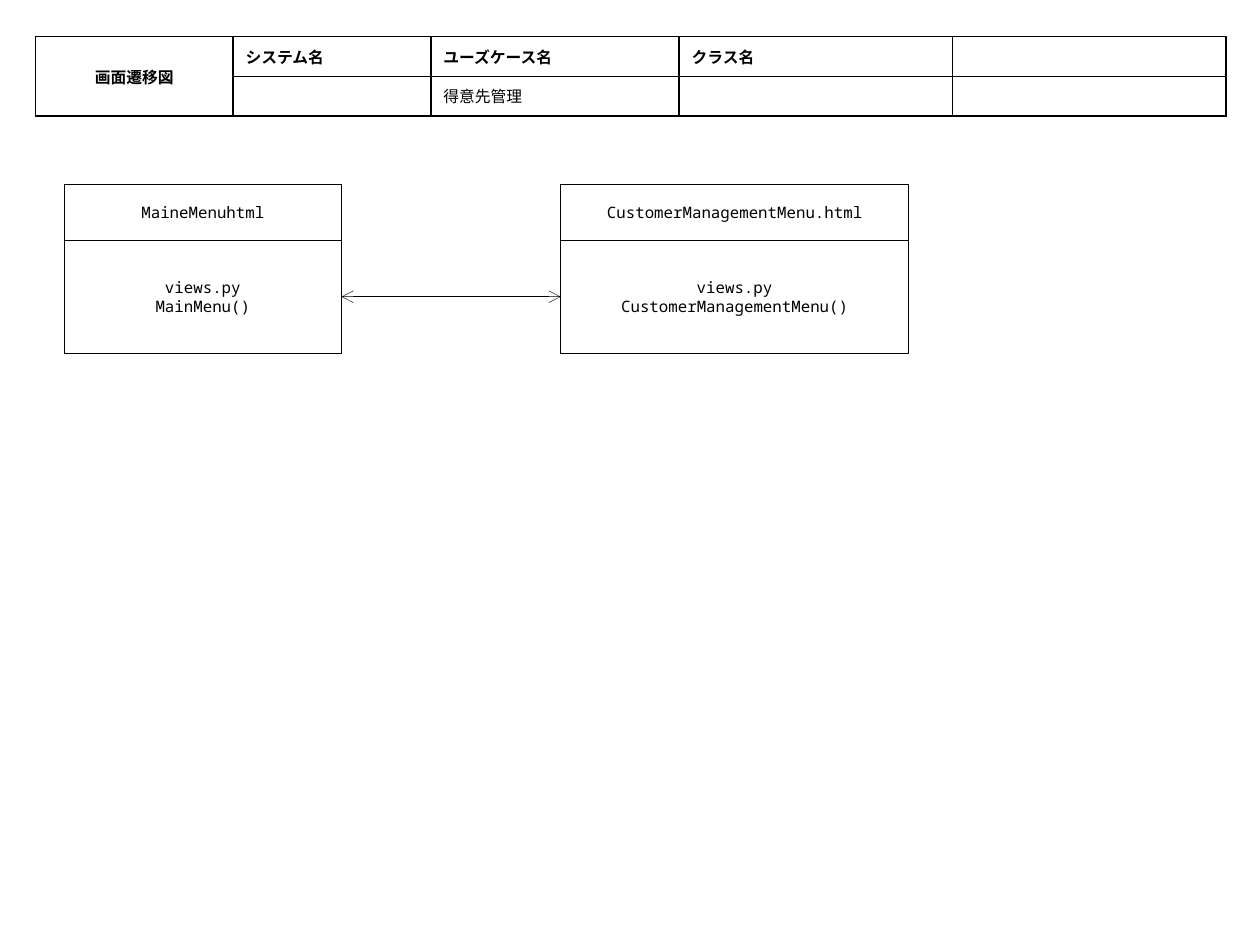
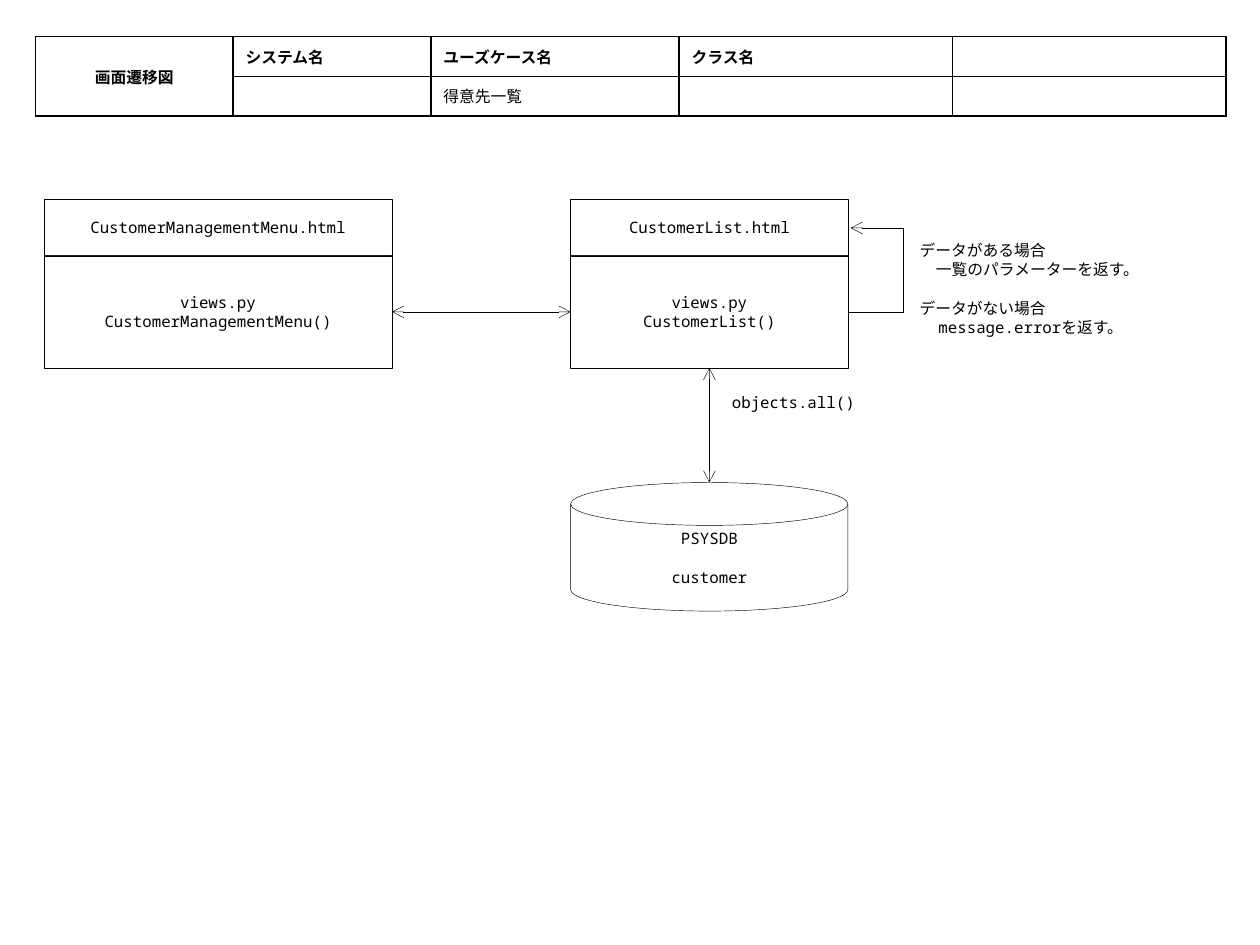
from lxml import etree
from pptx import Presentation
from pptx.dml.color import RGBColor
from pptx.enum.shapes import MSO_CONNECTOR, MSO_SHAPE
from pptx.enum.text import MSO_ANCHOR, PP_ALIGN
from pptx.oxml.ns import qn
from pptx.util import Inches, Pt

COLORS = {"ink": "000000", "paper": "FFFFFF"}
JAPANESE_FONT = "Noto Sans CJK JP"
CODE_FONT = "Noto Sans Mono"
TEXT_SIZE = Pt(9)
CODE_PITCH = Pt(10.9)
THIN_LINE = Pt(0.25)

# Header table
TABLE_COLUMNS = [1.57, 1.57, 1.97, 2.17, 2.17]
TABLE_HEIGHT = 0.63
TABLE_LABELS = ["画面遷移図", "システム名", "ユーズケース名", "クラス名", ""]

# Screen boxes: page name above, view function below
NAME_HEIGHT = 0.45
VIEW_HEIGHT = 0.89
NARROW, WIDE = 2.2, 2.76


def color(name):
    return RGBColor.from_string(COLORS[name])


def paint(shape):
    shape.fill.solid()
    shape.fill.fore_color.rgb = color("paper")


def add_run(paragraph, text, font_name, bold=False):
    run = paragraph.add_run()
    run.text = text
    run.font.size = TEXT_SIZE
    run.font.name = font_name
    run.font.bold = bold
    run.font.color.rgb = color("ink")
    etree.SubElement(run._r.get_or_add_rPr(), qn("a:ea"), typeface=font_name)


def write_code(text_frame, lines, alignment=PP_ALIGN.CENTER):
    """Each line is (text, left indent in inches, whether a blank line's gap precedes it)."""
    text_frame.word_wrap = True
    text_frame.vertical_anchor = MSO_ANCHOR.MIDDLE
    for index, (text, indent, gap) in enumerate(lines):
        paragraph = text_frame.paragraphs[0] if index == 0 else text_frame.add_paragraph()
        paragraph.alignment = alignment
        paragraph.line_spacing = CODE_PITCH
        if gap:
            paragraph.space_before = CODE_PITCH
        if indent:
            paragraph._p.get_or_add_pPr().set("marL", str(Inches(indent)))
        add_run(paragraph, text, CODE_FONT)


def add_box(slide, left, top, width, height, lines, preset=MSO_SHAPE.RECTANGLE):
    shape = slide.shapes.add_shape(
        preset, Inches(left), Inches(top), Inches(width), Inches(height))
    shape.shadow.inherit = False
    paint(shape)
    shape.line.color.rgb = color("ink")
    shape.line.width = THIN_LINE
    write_code(shape.text_frame, lines)
    return shape


def add_screen(slide, left, top, width, page, function):
    """Draw a page with its view function and return the view box."""
    add_box(slide, left, top, width, NAME_HEIGHT, [(page, 0, False)])
    return add_box(slide, left, top + NAME_HEIGHT, width, VIEW_HEIGHT,
                   [("views.py", 0, False), (function, 0, False)])


def add_note(slide, left, top, width, height, lines):
    note = slide.shapes.add_textbox(
        Inches(left), Inches(top), Inches(width), Inches(height))
    paint(note)
    write_code(note.text_frame, lines, PP_ALIGN.LEFT)


def add_arrow(slide, start, end, kind=MSO_CONNECTOR.STRAIGHT, both_ends=True):
    connector = slide.shapes.add_connector(
        kind, *(Inches(value) for value in (*start, *end)))
    connector.line.color.rgb = color("ink")
    connector.line.width = THIN_LINE
    line = connector.line._get_or_add_ln()
    if both_ends:
        etree.SubElement(line, qn("a:headEnd"), type="arrow")
    etree.SubElement(line, qn("a:tailEnd"), type="arrow")
    etree.SubElement(connector._element.spPr, qn("a:effectLst"))
    return connector


def link_screens(slide, left_view, right_view):
    connector = add_arrow(slide, (0, 0), (1, 0))
    connector.begin_connect(left_view, 3)
    connector.end_connect(right_view, 1)


def add_return_arrow(slide, start, end, turn):
    """Elbow arrow that runs out to x = turn and comes back."""
    connector = add_arrow(slide, start, end, MSO_CONNECTOR.ELBOW, both_ends=False)
    ratio = (turn - start[0]) / (end[0] - start[0])
    geometry = connector._element.spPr.find(qn("a:prstGeom"))
    adjustments = geometry.find(qn("a:avLst"))
    if adjustments is None:
        adjustments = etree.SubElement(geometry, qn("a:avLst"))
    etree.SubElement(adjustments, qn("a:gd"), name="adj1",
                     fmla=f"val {round(ratio * 100000)}")


def style_cell(cell):
    properties = cell._tc.get_or_add_tcPr()
    for side in ("lnL", "lnR", "lnT", "lnB"):
        border = etree.SubElement(properties, qn(f"a:{side}"), w=str(Pt(1)))
        fill = etree.SubElement(border, qn("a:solidFill"))
        etree.SubElement(fill, qn("a:srgbClr"), val=COLORS["ink"])
    paint(cell)
    cell.vertical_anchor = MSO_ANCHOR.MIDDLE


def add_header_table(slide, use_case):
    frame = slide.shapes.add_table(
        2, len(TABLE_COLUMNS), Inches(0.28), Inches(0.29),
        Inches(sum(TABLE_COLUMNS)), Inches(TABLE_HEIGHT))
    table = frame.table
    table.first_row = table.horz_banding = False
    for column, width in zip(table.columns, TABLE_COLUMNS):
        column.width = Inches(width)
    rows = [TABLE_LABELS, ["", "", use_case, "", ""]]
    for row_index, texts in enumerate(rows):
        for column_index, text in enumerate(texts):
            cell = table.cell(row_index, column_index)
            style_cell(cell)
            paragraph = cell.text_frame.paragraphs[0]
            if text:
                add_run(paragraph, text, JAPANESE_FONT, bold=row_index == 0)
            else:
                etree.SubElement(paragraph._p, qn("a:endParaRPr"),
                                 sz=str(int(TEXT_SIZE.pt * 100)))
    title = table.cell(0, 0)
    title.merge(table.cell(1, 0))
    title.text_frame.paragraphs[0].alignment = PP_ALIGN.CENTER


def add_diagram_slide(presentation, use_case):
    slide = presentation.slides.add_slide(presentation.slide_layouts[6])
    add_header_table(slide, use_case)
    return slide


def build_management_slide(presentation):
    slide = add_diagram_slide(presentation, "得意先管理")
    top = 1.46
    main_menu = add_screen(slide, 0.51, top, NARROW, "MaineMenuhtml", "MainMenu()")
    management = add_screen(slide, 4.45, top, WIDE, "CustomerManagementMenu.html",
                            "CustomerManagementMenu()")
    link_screens(slide, main_menu, management)


def build_list_slide(presentation):
    slide = add_diagram_slide(presentation, "得意先一覧")
    top, list_left, database_top = 1.58, 4.53, 3.83
    management = add_screen(slide, 0.35, top, WIDE, "CustomerManagementMenu.html",
                            "CustomerManagementMenu()")
    customer_list = add_screen(slide, list_left, top, NARROW, "CustomerList.html",
                               "CustomerList()")
    link_screens(slide, management, customer_list)

    # Database and its query
    middle = list_left + NARROW / 2
    query = add_arrow(slide, (middle, database_top), (middle, 2.92))
    query.end_connect(customer_list, 2)
    add_box(slide, list_left, database_top, NARROW, 1.02,
            [("PSYSDB", 0, False), ("customer", 0, True)],
            MSO_SHAPE.FLOWCHART_MAGNETIC_DISK)
    add_note(slide, 5.71, 3.02, 1.21, 0.34, [("objects.all()", 0, False)])

    # Values returned to the page
    add_note(slide, 7.2, 1.7, 2.13, 1.18, [
        ("データがある場合", 0, False),
        ("一覧のパラメーターを返す。", 0.13, False),
        ("データがない場合", 0, True),
        ("message.errorを返す。", 0.15, False),
    ])
    right = list_left + NARROW
    add_return_arrow(slide, (right, 2.48), (right + 0.02, 1.81), turn=7.17)


def main():
    presentation = Presentation()
    presentation.slide_width = Inches(10)
    presentation.slide_height = Inches(7.5)
    build_management_slide(presentation)
    build_list_slide(presentation)
    presentation.save("out.pptx")


if __name__ == "__main__":
    main()
